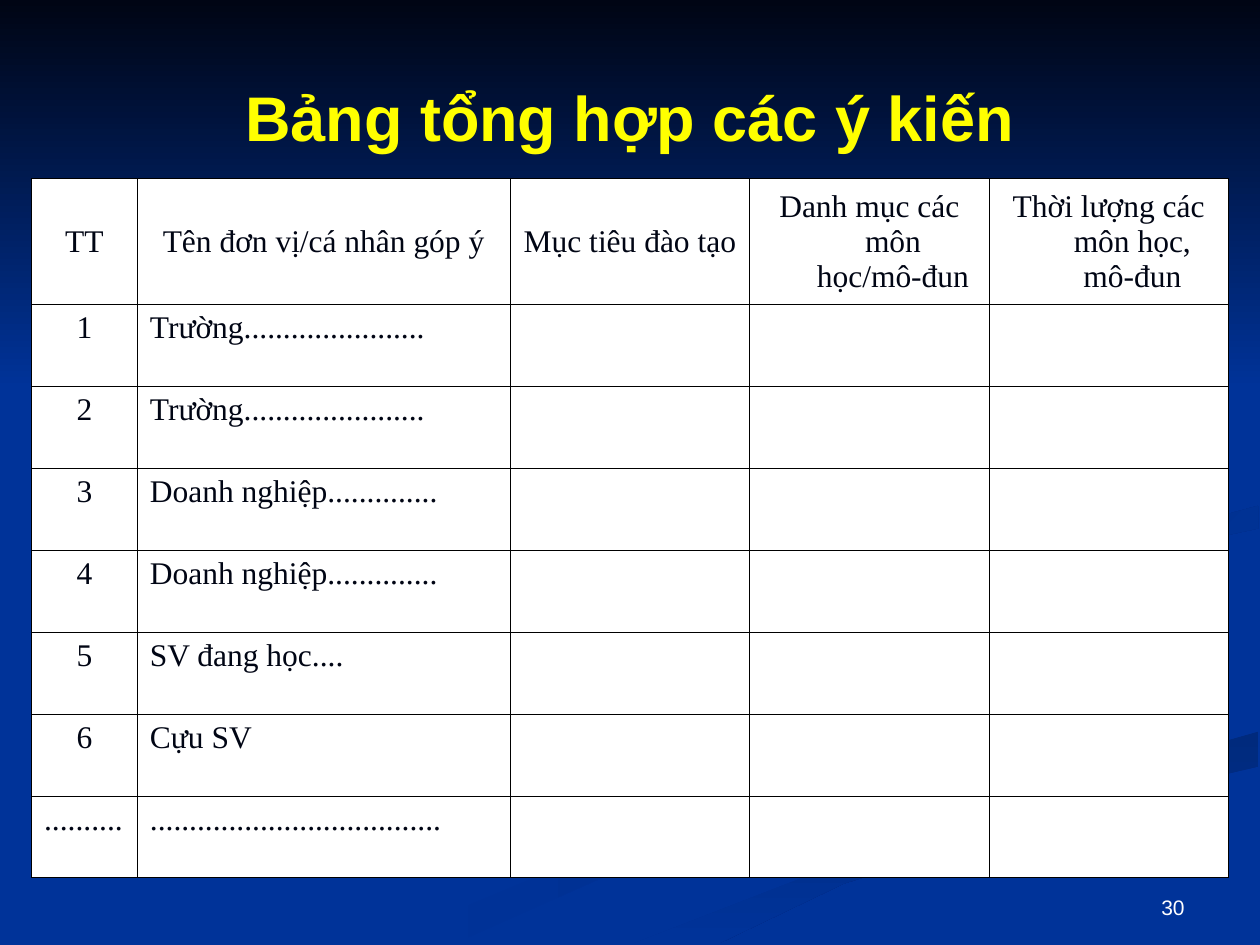
from lxml import etree
from pptx import Presentation
from pptx.dml.color import RGBColor
from pptx.enum import text
from pptx.oxml.ns import qn
from pptx.util import Pt

# Content
TITLE = "Bảng tổng hợp các ý kiến"
SLIDE_NUMBER = "30"
HEADERS = ["TT", "Tên đơn vị/cá nhân góp ý", "Mục tiêu đào tạo",
           "Danh mục các môn học/mô-đun", "Thời lượng các môn học, mô-đun"]
ROWS = [
    ("1", "Trường......................."),
    ("2", "Trường......................."),
    ("3", "Doanh nghiệp.............."),
    ("4", "Doanh nghiệp.............."),
    ("5", "SV đang học...."),
    ("6", "Cựu SV"),
    ("..........", "....................................."),
]
COLORS = {"background": "003399", "night": "000514", "white": "FFFFFF",
          "title": "FFFF00", "border": "000000", "shade": "002E8B",
          "deep": "002A7D", "dusk": "002D86", "dim": "002B82"}

# Background ribbons: start colour, end colour, clockwise angle, outline
RIBBONS = [
    ("background", "shade", 0, [
        (413, 334), (566, 408), (388, 467), (216, 539), (260, 539),
        (359, 495), (576, 418)]),
    ("background", "shade", 45, [
        (521, 334), (661, 418), (644, 436), (679, 410)]),
    ("deep", "background", 90, [
        (362, 539), (411, 539), (482, 505), (620, 461), (719, 438),
        (719, 418), (550, 466)]),
    ("background", "background", 0, [
        (522, 334), (679, 410), (507, 472), (343, 539), (362, 539),
        (550, 466), (719, 418), (719, 387), (562, 333), (719, 289),
        (719, 279)]),
    ("dusk", "background", 45, [
        (562, 331), (595, 357), (588, 330), (719, 302), (719, 289)]),
    ("dim", "background", 45, [
        (492, 310), (644, 248), (549, 168), (640, 241), (415, 333),
        (448, 360)]),
    ("night", "background", 90, [(0, 0), (0, 222), (720, 222), (720, 0)]),
]

# Layout
COLUMN_WIDTHS = [60.48, 213.12] + [136.8] * 3
HEADER_HEIGHT, ROW_HEIGHT = 72, 46.8
HANGING = Pt(27)


def color(name):
    return RGBColor.from_string(COLORS[name])


def set_font(paragraph, name, size, color_name, bold=False):
    font = paragraph.font
    font.name, font.size, font.bold = name, Pt(size), bold
    font.color.rgb = color(color_name)


def add_ribbon(slide, start, end, angle, points):
    builder = slide.shapes.build_freeform(*points[0], scale=Pt(1))
    builder.add_line_segments(points[1:], close=True)
    shape = builder.convert_to_shape()
    shape.shadow.inherit = False
    shape.line.fill.background()
    if start == end:
        shape.fill.solid()
        shape.fill.fore_color.rgb = color(start)
        return
    shape.fill.gradient()
    shape.fill.gradient_angle = (360 - angle) % 360
    for stop, name in zip(shape.fill.gradient_stops, (start, end)):
        stop.color.rgb = color(name)


def add_label(slide, box, content, alignment, anchor, size, color_name, bold=False):
    frame = slide.shapes.add_textbox(*map(Pt, box)).text_frame
    frame.word_wrap = True
    frame.vertical_anchor = anchor
    paragraph = frame.paragraphs[0]
    paragraph.text = content
    paragraph.alignment = alignment
    set_font(paragraph, "Arial", size, color_name, bold)


def add_borders(cell):
    properties = cell._tc.get_or_add_tcPr()
    for index, side in enumerate(("lnL", "lnR", "lnT", "lnB")):
        line = etree.Element(qn("a:" + side), w=str(Pt(0.45)))
        fill = etree.SubElement(line, qn("a:solidFill"))
        etree.SubElement(fill, qn("a:srgbClr"), val=COLORS["border"])
        properties.insert(index, line)


def fill_cell(cell, content, centred, anchor):
    cell.fill.solid()
    cell.fill.fore_color.rgb = color("white")
    cell.vertical_anchor = anchor
    add_borders(cell)
    paragraph = cell.text_frame.paragraphs[0]
    paragraph.text = content
    paragraph.alignment = text.PP_ALIGN.CENTER if centred else text.PP_ALIGN.LEFT
    properties = paragraph._p.get_or_add_pPr()
    properties.set("marL", str(HANGING))
    properties.set("indent", str(-HANGING))
    set_font(paragraph, "Times New Roman", 18, "night")


def add_opinion_table(slide):
    height = HEADER_HEIGHT + ROW_HEIGHT * len(ROWS)
    table = slide.shapes.add_table(
        len(ROWS) + 1, len(HEADERS), Pt(18), Pt(102),
        Pt(sum(COLUMN_WIDTHS)), Pt(height)).table
    for column, width in zip(table.columns, COLUMN_WIDTHS):
        column.width = Pt(width)
    for r, row in enumerate([HEADERS] + ROWS):
        table.rows[r].height = Pt(ROW_HEIGHT if r else HEADER_HEIGHT)
        anchor = text.MSO_ANCHOR.TOP if r else text.MSO_ANCHOR.MIDDLE
        for c in range(len(HEADERS)):
            content = row[c] if c < len(row) else ""
            centred = r == 0 or (c == 0 and content.isdigit())
            fill_cell(table.cell(r, c), content, centred, anchor)


def main():
    presentation = Presentation()
    presentation.slide_width, presentation.slide_height = Pt(720), Pt(540)
    slide = presentation.slides.add_slide(presentation.slide_layouts[6])
    slide.background.fill.solid()
    slide.background.fill.fore_color.rgb = color("background")

    for ribbon in RIBBONS:
        add_ribbon(slide, *ribbon)
    add_label(slide, (516, 492, 168, 37), SLIDE_NUMBER, text.PP_ALIGN.RIGHT,
              text.MSO_ANCHOR.BOTTOM, 12, "white")
    add_label(slide, (36, 21.6, 648, 90), TITLE, text.PP_ALIGN.CENTER,
              text.MSO_ANCHOR.MIDDLE, 36, "title", bold=True)
    add_opinion_table(slide)
    presentation.save("out.pptx")


if __name__ == "__main__":
    main()
